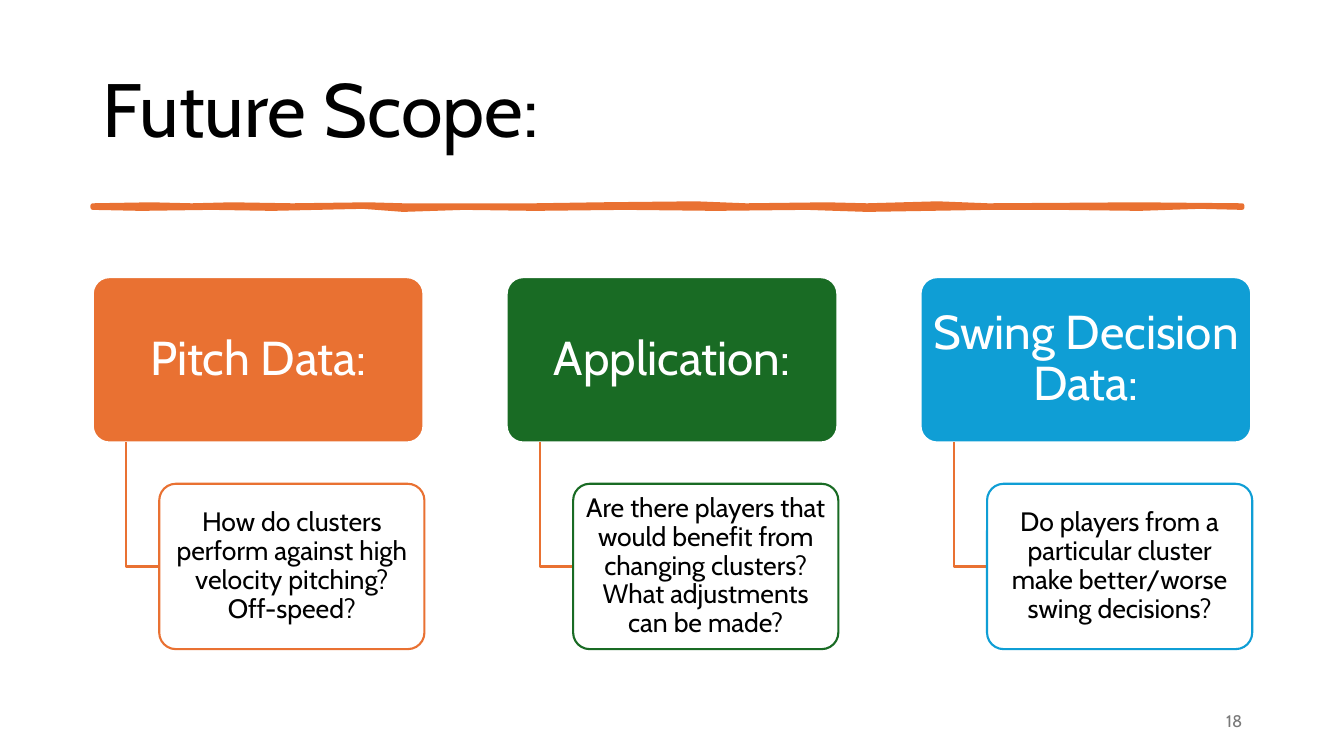
from pptx import Presentation
from pptx.dml.color import RGBColor
from pptx.enum.shapes import MSO_SHAPE as SHAPE
from pptx.enum.text import MSO_ANCHOR as ANCHOR, PP_ALIGN as ALIGN
from pptx.util import Inches, Pt

TITLE = "Future Scope:"
PAGE = "18"
TOPICS = [
    ("Pitch Data:", "orange",
     "How do clusters perform against high velocity pitching? Off-speed?"),
    ("Application:", "green",
     "Are there players that would benefit from changing clusters? "
     "What adjustments can be made?"),
    ("Swing Decision Data:", "blue",
     "Do players from a particular cluster make better/worse swing decisions?"),
]
RULE_TOP = [(0.92, 2.04), (1.5, 2.03), (1.9, 2.04), (2.3, 2.03), (2.9, 2.04),
            (3.65, 2.03), (4, 2.04), (5.3, 2.04), (5.95, 2.03), (6.9, 2.02),
            (7.4, 2.04), (8.2, 2.03), (8.6, 2.04), (9.3, 2.02), (9.8, 2.04),
            (11.3, 2.03), (12.32, 2.04)]
RULE_BOTTOM = [(12.32, 2.06), (11.9, 2.05), (11.3, 2.07), (10.5, 2.06),
               (9.8, 2.06), (8.6, 2.08), (8, 2.06), (7.1, 2.07), (6.2, 2.06),
               (5.3, 2.07), (4.6, 2.06), (4, 2.08), (3.6, 2.05), (2.7, 2.07),
               (2.1, 2.06), (1.4, 2.07), (0.92, 2.06)]
THEME = {
    "font": "Cabin", "title": 54, "head": 34, "body": 19, "page": 12,
    "orange": "E97132", "green": "196B24", "blue": "0F9ED5",
    "white": "FFFFFF", "black": "000000", "grey": "797979",
    "thin": 1.5, "thick": 3.25,
}
FIRST, LAST = 0.92, 9.13
HEAD_TOP, HEAD_W, BOX_H = 2.75, 3.28, 1.64
BODY_TOP, BODY_W, INDENT = 4.8, 2.63, 0.66


def color(name):
    return RGBColor.from_string(THEME[name])


def write(sp, text, size, ink, align, inset=(0.1, 0.05), spacing=0.9):
    tf = sp.text_frame
    x, y = map(Inches, inset)
    frame = {"word_wrap": True, "vertical_anchor": ANCHOR.MIDDLE,
             "margin_left": x, "margin_right": x,
             "margin_top": y, "margin_bottom": y}
    for key, value in frame.items():
        setattr(tf, key, value)
    p = tf.paragraphs[0]
    p.alignment, p.line_spacing = align, spacing
    r = p.add_run()
    r.text = text
    for key, value in {"name": THEME["font"], "size": Pt(THEME[size])}.items():
        setattr(r.font, key, value)
    r.font.color.rgb = color(ink)


def paint(sp, fill, line, width="thin"):
    sp.shadow.inherit = False
    if fill:
        sp.fill.solid()
        sp.fill.fore_color.rgb = color(fill)
    else:
        sp.fill.background()
    sp.line.color.rgb = color(line)
    sp.line.width = Pt(THEME[width])


def outline(shapes, points, close):
    spots = [(Inches(x), Inches(y)) for x, y in points]
    builder = shapes.build_freeform(*spots[0], scale=1.0)
    builder.add_line_segments(spots[1:], close=close)
    return builder.convert_to_shape()


def card(shapes, x, y, w, fill, line):
    sp = shapes.add_shape(SHAPE.ROUNDED_RECTANGLE, *map(Inches, (x, y, w, BOX_H)))
    sp.adjustments[0] = 0.1
    paint(sp, fill, line)
    return sp


def add_topic(shapes, x, head, accent, body):
    sp = card(shapes, x, HEAD_TOP, HEAD_W, accent, "white")
    write(sp, head, "head", "white", ALIGN.CENTER, (0.07, 0.05))
    stem, left = x + INDENT / 2, x + INDENT
    middle = BODY_TOP + BOX_H / 2
    elbow = [(stem, HEAD_TOP + BOX_H), (stem, middle), (left, middle)]
    paint(outline(shapes, elbow, False), None, "orange")
    sp = card(shapes, left, BODY_TOP, BODY_W, "white", accent)
    write(sp, body, "body", "black", ALIGN.CENTER, (0.04, 0.03))


def main():
    """Build the future scope slide and save it."""
    prs = Presentation()
    prs.slide_width, prs.slide_height = Inches(13.33), Inches(7.5)
    s = prs.slides.add_slide(prs.slide_layouts[5])
    title = s.shapes.title
    place = {"left": 0.92, "top": 0.4, "width": 11.5, "height": 1.45}
    for key, value in place.items():
        setattr(title, key, Inches(value))
    write(title, TITLE, "title", "black", ALIGN.LEFT)
    rule = outline(s.shapes, RULE_TOP + RULE_BOTTOM, True)
    paint(rule, "orange", "orange", "thick")
    page = s.shapes.add_textbox(*map(Inches, (9.42, 6.95, 3, 0.4)))
    write(page, PAGE, "page", "grey", ALIGN.RIGHT, spacing=1.0)
    pitch = (LAST - FIRST) / (len(TOPICS) - 1)
    for i, (head, accent, body) in enumerate(TOPICS):
        add_topic(s.shapes, FIRST + i * pitch, head, accent, body)
    prs.save("out.pptx")


if __name__ == "__main__":
    main()
